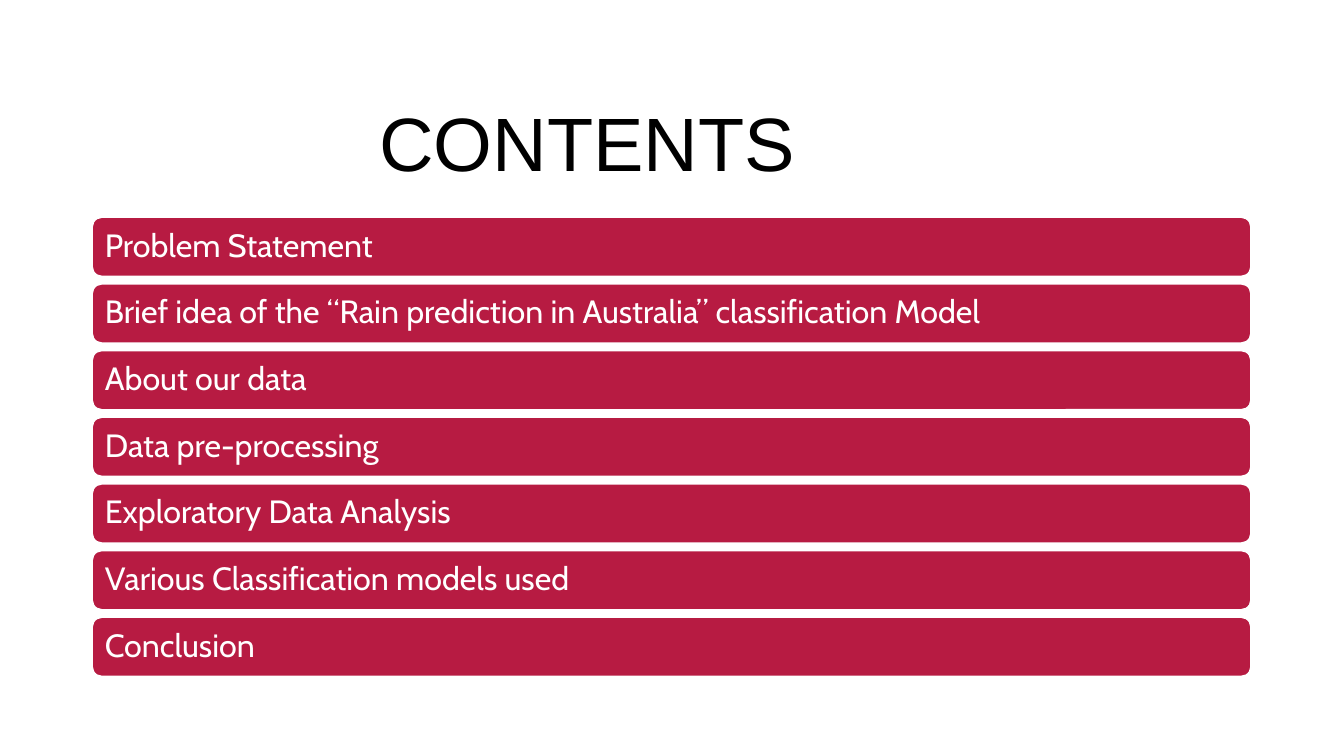
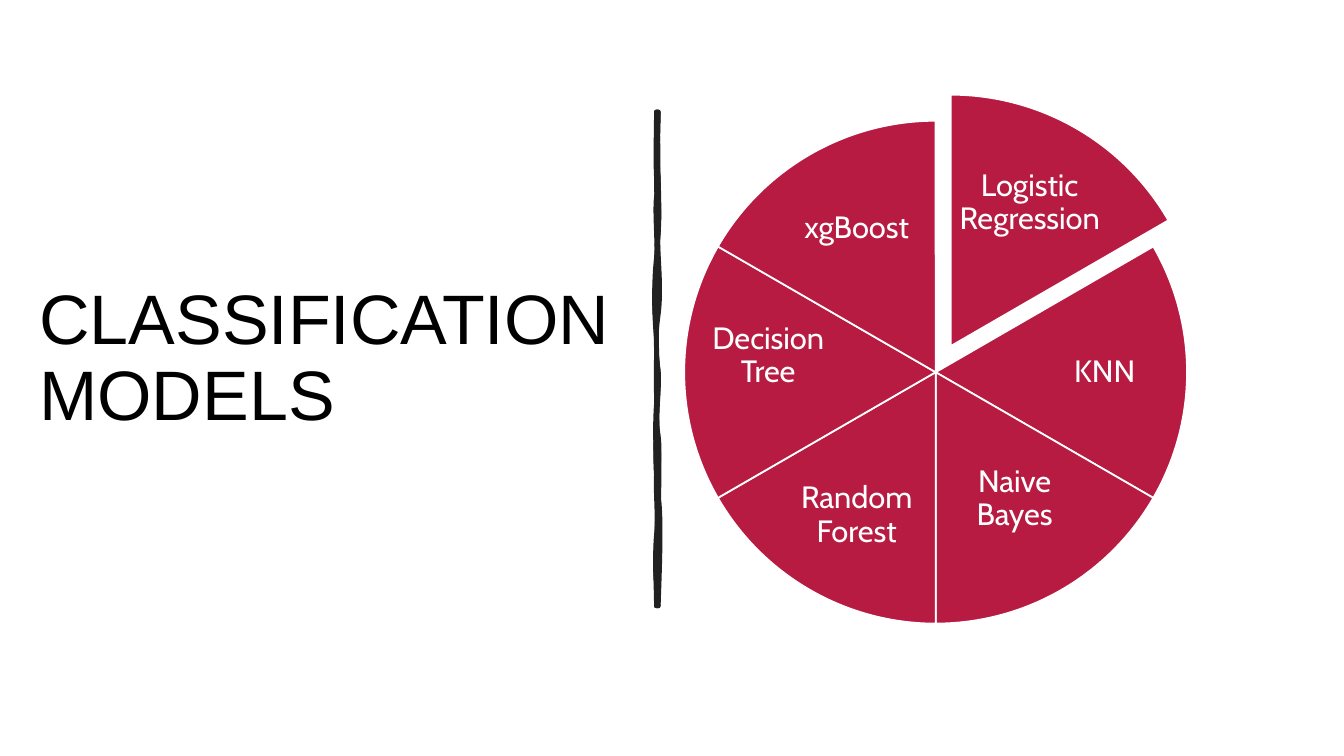
"""Build the contents slide and the classification models slide."""
from dataclasses import dataclass
from math import cos, radians, sin

from lxml.etree import SubElement
from pptx import Presentation
from pptx.dml.color import RGBColor
from pptx.enum.shapes import MSO_SHAPE as Preset
from pptx.enum.text import MSO_ANCHOR as Anchor, PP_ALIGN as Align
from pptx.oxml.ns import qn
from pptx.shapes.autoshape import Shape
from pptx.slide import Slide
from pptx.util import Cm, Pt


@dataclass(frozen=True)
class Theme:
    accent: RGBColor = RGBColor(0xB7, 0x1B, 0x42)
    ink: RGBColor = RGBColor(0x21, 0x21, 0x21)
    black: RGBColor = RGBColor(0, 0, 0)
    white: RGBColor = RGBColor(255, 255, 255)
    title_font: str = "Arial"
    body_font: str = "Cabin"
    contents_title_size: float = 54
    models_title_size: float = 50
    bar_size: float = 23
    slice_size: float = 22
    outline: float = 1.25
    brush: float = 3.25
    line_spacing: float = 0.9


@dataclass(frozen=True)
class Area:
    left: float
    top: float
    width: float
    height: float

    def lengths(self) -> tuple[Cm, Cm, Cm, Cm]:
        return Cm(self.left), Cm(self.top), Cm(self.width), Cm(self.height)


@dataclass(frozen=True)
class Slice:
    label: str
    pull: float = 0
    reach: float = 3.98
    lift: float = 0


@dataclass(frozen=True)
class Stroke:
    curves: tuple[tuple[int, ...], ...]
    filled: bool


THEME = Theme()
TOPICS = (
    "Problem Statement",
    "Brief idea of the “Rain prediction in Australia” classification Model",
    "About our data",
    "Data pre-processing",
    "Exploratory Data Analysis",
    "Various Classification models used",
    "Conclusion",
)
BARS = Area(2.32, 5.47, 29.21, 1.5)
BAR_PITCH = 1.68
SLICES = (
    Slice("Logistic Regression", pull=0.76),
    Slice("KNN", reach=4.26),
    Slice("Naive Bayes", lift=0.41),
    Slice("Random Forest"),
    Slice("Decision Tree", reach=4.22, lift=0.41),
    Slice("xgBoost"),
)
PIE_CENTRE = (23.58, 9.38)
PIE_SIZE = 12.67
LABEL_RISE = 4.17
LABEL_WIDTH, LABEL_HEIGHT = 3.75, 2.72
DEGREE_STEP = 0.6
BRUSH = Area(10.34, 9.02, 12.45, 0.05)
BRUSH_LENGTH, BRUSH_THICKNESS = 490, 2
BRUSH_RIGHT, BRUSH_TOP = 653, 111
STROKES = (
    Stroke((
        (652, 141, 652, 148, 653, 176), (653, 205, 654, 206, 653, 232),
        (651, 258, 655, 268, 653, 292), (650, 316, 650, 349, 653, 367),
        (655, 385, 649, 409, 653, 432), (656, 455, 650, 475, 653, 492),
        (656, 509, 655, 550, 653, 601), (652, 601, 651, 601, 651, 601),
        (651, 583, 649, 552, 651, 531), (653, 511, 652, 499, 651, 471),
        (649, 443, 652, 421, 651, 391), (650, 362, 652, 346, 651, 326),
        (649, 306, 648, 296, 651, 271), (653, 246, 649, 211, 651, 196),
        (653, 181, 654, 151, 651, 111), (651, 111, 652, 111, 653, 111),
    ), False),
    Stroke((
        (653, 143, 651, 147, 653, 176), (654, 206, 654, 219, 653, 232),
        (651, 244, 657, 283, 653, 312), (649, 340, 652, 350, 653, 377),
        (653, 403, 650, 416, 653, 442), (655, 468, 653, 489, 653, 522),
        (652, 554, 651, 582, 653, 601), (652, 601, 651, 601, 651, 601),
        (653, 579, 648, 571, 651, 541), (653, 512, 650, 489, 651, 471),
        (651, 453, 649, 427, 651, 401), (652, 376, 652, 356, 651, 336),
        (649, 316, 648, 283, 651, 256), (653, 230, 651, 197, 651, 176),
        (650, 155, 651, 130, 651, 111), (651, 111, 652, 111, 653, 111),
    ), True),
)


def write(shape: Shape, text: str, font: str, size: float, color: RGBColor,
          align: Align = Align.LEFT, inset: tuple[float, float] = (0.25, 0.13)) -> None:
    frame = shape.text_frame
    frame.text = text
    frame.word_wrap = True
    frame.vertical_anchor = Anchor.MIDDLE
    frame.margin_left = frame.margin_right = Cm(inset[0])
    frame.margin_top = frame.margin_bottom = Cm(inset[1])
    for para in frame.paragraphs:
        para.alignment = align
        para.line_spacing = THEME.line_spacing
        for span in para.runs:
            span.font.name = font
            span.font.size = Pt(size)
            span.font.color.rgb = color


def add_title(page: Slide, text: str, area: Area, size: float) -> None:
    box = page.shapes.add_textbox(*area.lengths())
    write(box, text, THEME.title_font, size, THEME.black)


def paint(shape: Shape, fill: RGBColor, line: RGBColor, width: float) -> None:
    shape.shadow.inherit = False
    shape.fill.solid()
    shape.fill.fore_color.rgb = fill
    shape.line.color.rgb = line
    shape.line.width = Pt(width)


def add_panel(page: Slide, preset: Preset, area: Area) -> Shape:
    panel = page.shapes.add_shape(preset, *area.lengths())
    paint(panel, THEME.accent, THEME.white, THEME.outline)
    return panel


def add_bar(page: Slide, index: int, topic: str) -> None:
    top = BARS.top + index * BAR_PITCH
    bar = add_panel(page, Preset.ROUNDED_RECTANGLE, Area(BARS.left, top, BARS.width, BARS.height))
    write(bar, topic, THEME.body_font, THEME.bar_size, THEME.white, inset=(0.25, 0.25))


def add_slice(page: Slide, index: int, item: Slice) -> None:
    sweep = 360 / len(SLICES)
    start = 270 + index * sweep
    middle = radians(start + sweep / 2)
    x = PIE_CENTRE[0] + item.pull * cos(middle)
    y = PIE_CENTRE[1] + item.pull * sin(middle)
    wedge = add_panel(page, Preset.PIE,
                      Area(x - PIE_SIZE / 2, y - PIE_SIZE / 2, PIE_SIZE, PIE_SIZE))
    wedge.adjustments[0] = start % 360 * DEGREE_STEP
    wedge.adjustments[1] = (start + sweep) % 360 * DEGREE_STEP
    label_x = x + item.reach * cos(middle)
    label_y = y + LABEL_RISE * sin(middle) - item.lift
    area = Area(label_x - LABEL_WIDTH / 2, label_y - LABEL_HEIGHT / 2, LABEL_WIDTH, LABEL_HEIGHT)
    box = page.shapes.add_textbox(*area.lengths())
    write(box, item.label, THEME.body_font, THEME.slice_size, THEME.white,
          Align.CENTER, (0.08, 0.08))


def add_brush(page: Slide) -> None:
    left, top, width, height = BRUSH.lengths()
    builder = page.shapes.build_freeform(left, top)
    builder.add_line_segments(
        [(left + width, top), (left + width, top + height), (left, top + height)])
    brush = builder.convert_to_shape()
    brush.rotation = 90
    paint(brush, THEME.ink, THEME.ink, THEME.brush)
    outlines = next(brush.element.iter(qn("a:pathLst")))
    for outline in list(outlines):
        outlines.remove(outline)
    for stroke in STROKES:
        outline = SubElement(outlines, qn("a:path"), w=str(BRUSH_LENGTH), h=str(BRUSH_THICKNESS))
        if not stroke.filled:
            outline.set("fill", "none")
        add_points(SubElement(outline, qn("a:moveTo")), (BRUSH_RIGHT, BRUSH_TOP))
        for curve in stroke.curves:
            add_points(SubElement(outline, qn("a:cubicBezTo")), curve)
        SubElement(outline, qn("a:close"))


def add_points(command: object, values: tuple[int, ...]) -> None:
    for x, y in zip(values[::2], values[1::2]):
        SubElement(command, qn("a:pt"), x=str(y - BRUSH_TOP), y=str(BRUSH_RIGHT - x))


def main() -> None:
    deck = Presentation()
    deck.slide_width, deck.slide_height = Cm(33.87), Cm(19.05)
    blank = deck.slide_layouts[6]

    contents = deck.slides.add_slide(blank)
    add_title(contents, "CONTENTS", Area(9.31, 2.24, 21.4, 2.92), THEME.contents_title_size)
    for index, topic in enumerate(TOPICS):
        add_bar(contents, index, topic)

    models = deck.slides.add_slide(blank)
    add_title(models, "CLASSIFICATION MODELS", Area(0.74, 5.35, 15.11, 7.44),
              THEME.models_title_size)
    for index, item in enumerate(SLICES):
        add_slice(models, index, item)
    add_brush(models)

    deck.save("out.pptx")


if __name__ == "__main__":
    main()
